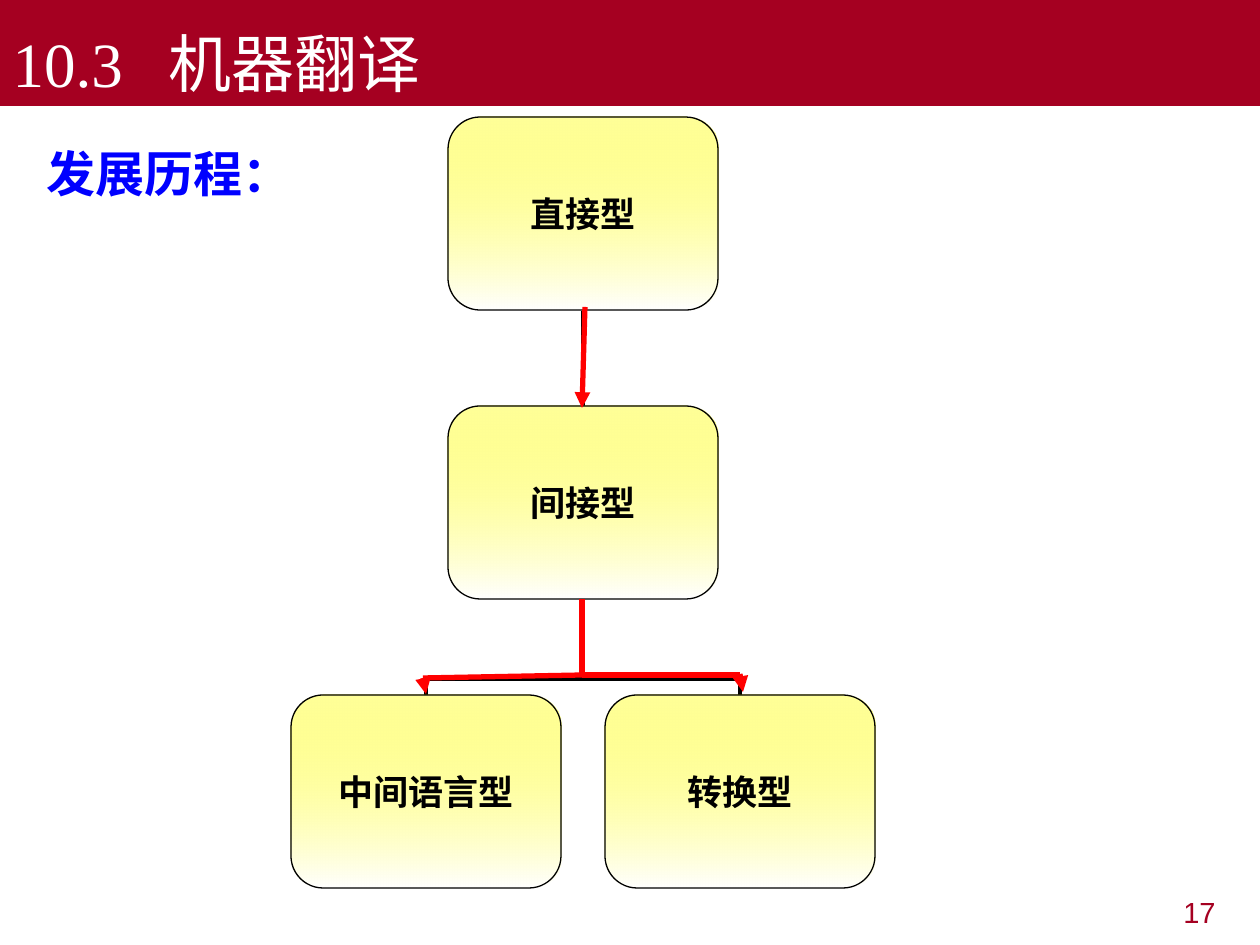
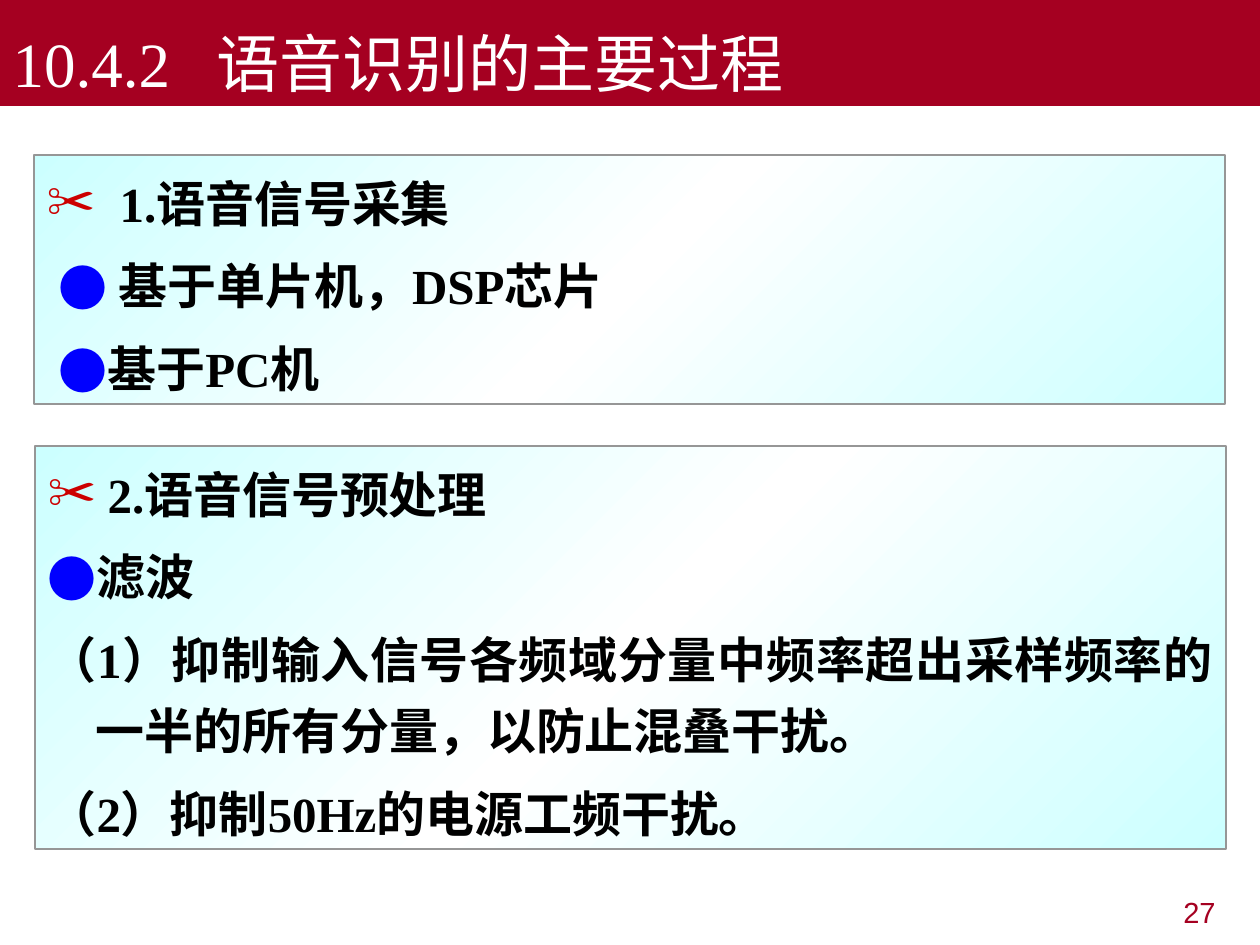
from dataclasses import dataclass
from typing import Optional

import pptx
import pptx.dml.color
import pptx.enum.dml
import pptx.enum.shapes
import pptx.enum.text
import pptx.oxml
import pptx.oxml.ns
import pptx.util
from lxml import etree

RGBColor = pptx.dml.color.RGBColor
CRIMSON = RGBColor(0xA5, 0x00, 0x21)
WHITE = RGBColor(0xFF, 0xFF, 0xFF)
BLACK = RGBColor(0x00, 0x00, 0x00)
BLUE = RGBColor(0x00, 0x00, 0xFF)
RED = RGBColor(0xFF, 0x00, 0x00)
SCISSOR_RED = RGBColor(0xCC, 0x00, 0x00)
YELLOW = RGBColor(0xFF, 0xFF, 0x00)
PALE_CYAN = RGBColor(0xCC, 0xFF, 0xFF)
GRAY = RGBColor(0x96, 0x96, 0x96)

SERIF = "Times New Roman"
SANS = "Arial"
CHINESE = "Noto Sans CJK SC"

SLIDE_WIDTH, SLIDE_HEIGHT = 1260, 945
EMU_PER_PX = 914400 / 126
BOX_WIDTH, BOX_HEIGHT = 270, 193
BOX_TOP, ROW_STEP = 117, 289
TREE_CENTER, BRANCH_OFFSET = 583, 157


@dataclass(frozen=True)
class Bullet:
    character: str
    color: RGBColor
    font: str


SCISSORS = Bullet("✂", SCISSOR_RED, SERIF)
DISC = Bullet("●", BLUE, CHINESE)


@dataclass(frozen=True)
class Item:
    text: str
    bullet: Optional[Bullet] = None
    bullet_at: int = 0
    text_at: int = 48


@dataclass(frozen=True)
class Panel:
    left: int
    top: int
    width: int
    height: int
    items: tuple[Item, ...]


@dataclass(frozen=True)
class Box:
    text: str
    center: int
    row: int

    @property
    def top(self) -> int:
        return BOX_TOP + self.row * ROW_STEP

    @property
    def bottom(self) -> int:
        return self.top + BOX_HEIGHT


@dataclass(frozen=True)
class Line:
    start: tuple[int, int]
    end: tuple[int, int]
    arrow: bool = False


DIRECT = Box("直接型", TREE_CENTER, 0)
INDIRECT = Box("间接型", TREE_CENTER, 1)
INTERLINGUA = Box("中间语言型", TREE_CENTER - BRANCH_OFFSET, 2)
TRANSFER = Box("转换型", TREE_CENTER + BRANCH_OFFSET, 2)

RED_LINES = (
    Line((585, 307), (582, 408), arrow=True),
    Line((582, 675), (423, 678)),
    Line((582, 675), (740, 675)),
    Line((423, 678), (426, 694), arrow=True),
    Line((740, 674), (743, 692), arrow=True),
    Line((582, 599), (582, 675)),
)

PANELS = (
    Panel(34, 155, 1191, 249, (
        Item("1.语音信号采集", SCISSORS, 0, 73),
        Item("基于单片机，DSP芯片", DISC, 12, 72),
        Item("基于PC机", DISC, 12, 60),
    )),
    Panel(35, 446, 1191, 403, (
        Item("2.语音信号预处理", SCISSORS, 0, 60),
        Item("滤波", DISC),
        Item("（1）抑制输入信号各频域分量中频率超出采样频率的一半的所有分量，以防止混叠干扰。"),
        Item("（2）抑制50Hz的电源工频干扰。"),
    )),
)


def px(length: float) -> int:
    return round(length * EMU_PER_PX)


def add_element(parent, tag: str, **attributes):
    element = etree.SubElement(parent, pptx.oxml.ns.qn(tag))
    for name, value in attributes.items():
        element.set(name, str(value))
    return element


def place(shape, left: int, top: int, width: int, height: int) -> None:
    shape.left, shape.top, shape.width, shape.height = map(px, (left, top, width, height))


def style_font(paragraph, name: str, size: float, color: RGBColor, bold: bool = False) -> None:
    font = paragraph.font
    font.name, font.size, font.bold = name, pptx.util.Pt(size), bold
    font.color.rgb = color


def set_gradient(shape, angle: int, stops: tuple) -> None:
    """Fill with (position, color, opacity) stops, all in percent."""
    shape.fill.gradient()
    shape.fill.gradient_angle = angle
    stop_list = shape.fill._fill._gradFill.find(pptx.oxml.ns.qn("a:gsLst"))
    for old_stop in list(stop_list):
        stop_list.remove(old_stop)
    for position, color, opacity in stops:
        stop = add_element(stop_list, "a:gs", pos=position * 1000)
        color_element = add_element(stop, "a:srgbClr", val=color)
        if opacity < 100:
            add_element(color_element, "a:alpha", val=opacity * 1000)


def set_outline(shape, color: RGBColor, width: float) -> None:
    shape.line.color.rgb = color
    shape.line.width = pptx.util.Pt(width)


# Shared title band and page number
def add_slide(presentation, layout_index: int, number: str, title: str, title_tab: int, page: int):
    slide = presentation.slides.add_slide(presentation.slide_layouts[layout_index])
    band = slide.shapes.title
    place(band, 0, 0, SLIDE_WIDTH, 106)
    band.fill.solid()
    band.fill.fore_color.rgb = CRIMSON
    frame = band.text_frame
    frame.auto_size = pptx.enum.text.MSO_AUTO_SIZE.NONE
    frame.vertical_anchor = pptx.enum.text.MSO_ANCHOR.BOTTOM
    paragraph = frame.paragraphs[0]
    paragraph.text = f"{number}\t{title}"
    paragraph.alignment = pptx.enum.text.PP_ALIGN.LEFT
    tabs = add_element(paragraph._p.get_or_add_pPr(), "a:tabLst")
    add_element(tabs, "a:tab", pos=px(title_tab), algn="l")
    style_font(paragraph, SERIF, 36, WHITE)

    page_box = slide.shapes.add_textbox(px(955), px(892), px(273), px(49))
    page_box.text_frame.word_wrap = True
    paragraph = page_box.text_frame.paragraphs[0]
    paragraph.text = str(page)
    paragraph.alignment = pptx.enum.text.PP_ALIGN.RIGHT
    paragraph.line_spacing = 0.9
    style_font(paragraph, SANS, 16.6, CRIMSON)
    return slide


# Lists in body placeholders
def write_items(shape, items: tuple[Item, ...], font: str, color: RGBColor, alignment) -> None:
    frame = shape.text_frame
    frame.auto_size = pptx.enum.text.MSO_AUTO_SIZE.NONE
    for index, item in enumerate(items):
        paragraph = frame.add_paragraph() if index else frame.paragraphs[0]
        paragraph.text = item.text
        paragraph.alignment = alignment
        paragraph.line_spacing = 1.2
        paragraph.space_before = pptx.util.Pt(7 if index else 0)
        properties = paragraph._p.get_or_add_pPr()
        properties.set("marL", str(px(item.text_at)))
        properties.set("indent", str(px(item.bullet_at - item.text_at)))
        if item.bullet:
            bullet_color = add_element(properties, "a:buClr")
            add_element(bullet_color, "a:srgbClr", val=item.bullet.color)
            add_element(properties, "a:buFont", typeface=item.bullet.font)
            add_element(properties, "a:buChar", char=item.bullet.character)
        else:
            add_element(properties, "a:buNone")
        style_font(paragraph, font, 28, color, bold=True)


def draw_panel(shape, panel: Panel) -> None:
    place(shape, panel.left, panel.top, panel.width, panel.height)
    set_gradient(shape, 315, ((0, PALE_CYAN, 100), (50, WHITE, 100), (100, PALE_CYAN, 100)))
    set_outline(shape, GRAY, 0.75)
    write_items(shape, panel.items, SERIF, BLACK, pptx.enum.text.PP_ALIGN.JUSTIFY)


# Tree of boxes and connectors
def draw_box(slide, box: Box) -> None:
    shape = slide.shapes.add_shape(
        pptx.enum.shapes.MSO_SHAPE.ROUNDED_RECTANGLE,
        px(box.center - BOX_WIDTH / 2), px(box.top), px(BOX_WIDTH), px(BOX_HEIGHT))
    shape.shadow.inherit = False
    set_gradient(shape, 270, ((0, YELLOW, 40), (100, WHITE, 100)))
    set_outline(shape, BLACK, 0.75)
    frame = shape.text_frame
    frame.word_wrap = False
    frame.margin_left = frame.margin_right = frame.margin_top = frame.margin_bottom = 0
    frame.vertical_anchor = pptx.enum.text.MSO_ANCHOR.MIDDLE
    paragraph = frame.paragraphs[0]
    paragraph.text = box.text
    paragraph.alignment = pptx.enum.text.PP_ALIGN.CENTER
    style_font(paragraph, SERIF, 20, BLACK, bold=True)


def draw_connector(slide, kind, line: Line, color: RGBColor, width: float):
    connector = slide.shapes.add_connector(kind, *map(px, line.start + line.end))
    set_outline(connector, color, width)
    if line.arrow:
        add_element(connector.line._get_or_add_ln(), "a:tailEnd", type="triangle")
    add_element(connector._element.spPr, "a:effectLst")
    return connector


def draw_elbow(slide, child: Box, parent: Box) -> None:
    """Bend from the child's top to the parent's bottom, turned to leave vertically."""
    middle_x = (child.center + parent.center) / 2
    middle_y = (child.top + parent.bottom) / 2
    side = 1 if child.center > parent.center else -1
    reach = (child.top - parent.bottom) / 2 * side
    rise = abs(child.center - parent.center) / 2
    line = Line((middle_x - reach, middle_y + rise), (middle_x + reach, middle_y - rise))
    connector = draw_connector(slide, pptx.enum.shapes.MSO_CONNECTOR.ELBOW, line, BLACK, 2.25)
    properties = connector._element.spPr
    properties.find(pptx.oxml.ns.qn("a:xfrm")).set("rot", str((270 if side > 0 else 90) * 60000))
    geometry = properties.find(pptx.oxml.ns.qn("a:prstGeom"))
    adjustments = geometry.find(pptx.oxml.ns.qn("a:avLst"))
    add_element(adjustments, "a:gd", name="adj1", fmla="val 16300")


def build_history_slide(presentation) -> None:
    slide = add_slide(presentation, 1, "10.3", "机器翻译", 156, 17)
    body = slide.placeholders[1]
    place(body, 34, 125, 585, 745)
    write_items(body, (Item("发展历程：", text_at=64),), CHINESE, BLUE,
                pptx.enum.text.PP_ALIGN.LEFT)
    straight = pptx.enum.shapes.MSO_CONNECTOR.STRAIGHT
    for child in (TRANSFER, INTERLINGUA):
        draw_elbow(slide, child, INDIRECT)
    stem = Line((TREE_CENTER, INDIRECT.top), (TREE_CENTER, DIRECT.bottom))
    draw_connector(slide, straight, stem, BLACK, 2.25)
    for box in (DIRECT, INDIRECT, INTERLINGUA, TRANSFER):
        draw_box(slide, box)
    for line in RED_LINES:
        draw_connector(slide, straight, line, RED, 3)


def build_speech_slide(presentation) -> None:
    slide = add_slide(presentation, 3, "10.4.2", "语音识别的主要过程", 204, 27)
    for index, panel in enumerate(PANELS, start=1):
        draw_panel(slide.placeholders[index], panel)


def main() -> None:
    presentation = pptx.Presentation()
    presentation.slide_width, presentation.slide_height = px(SLIDE_WIDTH), px(SLIDE_HEIGHT)
    build_history_slide(presentation)
    build_speech_slide(presentation)
    presentation.save("out.pptx")


if __name__ == "__main__":
    main()
